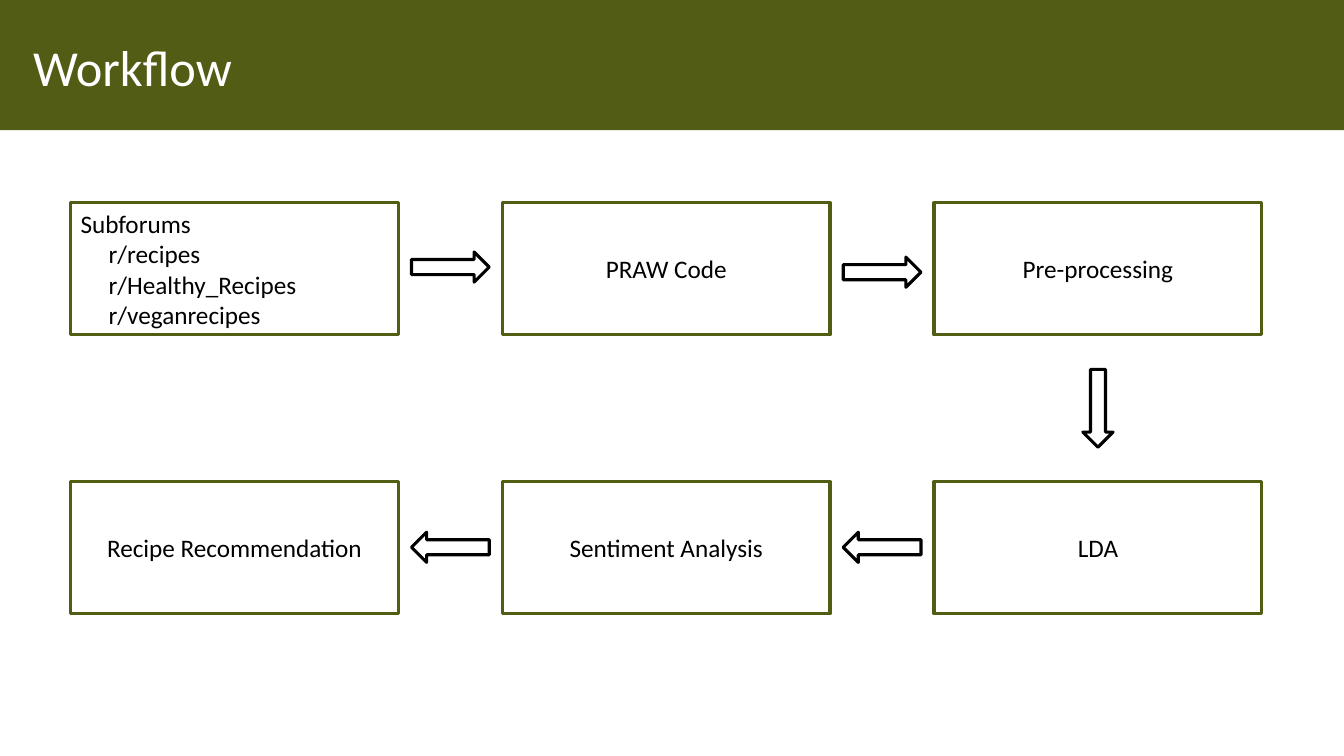
from dataclasses import dataclass

from pptx import Presentation
from pptx.dml.color import RGBColor
from pptx.enum.shapes import MSO_SHAPE
from pptx.enum.text import MSO_ANCHOR, PP_ALIGN
from pptx.util import Cm, Pt


@dataclass(frozen=True)
class Theme:
    font: str = "Calibri"
    band: RGBColor = RGBColor(0x53, 0x5C, 0x14)
    border: RGBColor = RGBColor(0x53, 0x5C, 0x13)
    ink: RGBColor = RGBColor(0, 0, 0)
    paper: RGBColor = RGBColor(0xFF, 0xFF, 0xFF)
    title_size: Pt = Pt(36)
    body_size: Pt = Pt(18)
    line_width: Pt = Pt(2.25)


theme = Theme()
TITLE_FONT = {"name": theme.font, "size": theme.title_size, "bold": False}
BODY_FONT = {"name": theme.font, "size": theme.body_size}


def write(frame, lines, font, colour, align, indent=0):
    """Fill a text frame, one paragraph a line; later lines are indented."""
    frame.word_wrap = True
    frame.vertical_anchor = MSO_ANCHOR.MIDDLE
    for index, line in enumerate(lines):
        para = frame.paragraphs[0] if index == 0 else frame.add_paragraph()
        para.alignment = align
        if index and indent:
            para._p.get_or_add_pPr().set("marL", str(indent))
        span = para.add_run()
        span.text = line
        for name, value in font.items():
            setattr(span.font, name, value)
        span.font.color.rgb = colour


def add_outline(kind, left, top, width, height, colour):
    """Add an unfilled shape with a coloured outline."""
    shape = page.shapes.add_shape(kind, left, top, width, height)
    shape.shadow.inherit = False
    shape.fill.background()
    shape.line.color.rgb = colour
    shape.line.width = theme.line_width
    return shape


# Deck and page
deck = Presentation()
deck.slide_width, deck.slide_height = Cm(33.87), Cm(19.05)
page = deck.slides.add_slide(deck.slide_layouts[5])

# Title on a full-width band
title = page.shapes.title
band = page.shapes.add_shape(MSO_SHAPE.RECTANGLE, 0, 0, deck.slide_width, Cm(3.28))
band.shadow.inherit = False
band.fill.solid()
band.fill.fore_color.rgb = theme.band
band.line.fill.background()
title.element.addprevious(band.element)

title_place = {"left": Cm(0.58), "top": Cm(0.89), "width": Cm(32.56), "height": Cm(1.75)}
for name, value in title_place.items():
    setattr(title, name, value)
write(title.text_frame, ["Workflow"], TITLE_FONT, theme.paper, PP_ALIGN.LEFT)
title.text_frame.paragraphs[0].line_spacing = 0.9

# Grid of steps: three columns, two rows
box_width, box_height = Cm(8.26), Cm(3.33)
first_left, column_step = Cm(1.78), Cm(10.88)
row_tops = [Cm(5.11), Cm(12.14)]
steps = [
    [["Subforums", "r/recipes", "r/Healthy_Recipes", "r/veganrecipes"],
     ["PRAW Code"], ["Pre-processing"]],
    [["Recipe Recommendation"], ["Sentiment Analysis"], ["LDA"]],
]
for top, row in zip(row_tops, steps):
    for column, lines in enumerate(row):
        box = add_outline(MSO_SHAPE.RECTANGLE, first_left + column * column_step, top,
                          box_width, box_height, theme.border)
        align = PP_ALIGN.LEFT if len(lines) > 1 else PP_ALIGN.CENTER
        write(box.text_frame, lines, BODY_FONT, theme.ink, align, Cm(0.71))

# Arrows, centred in the gaps: right along the top, down, then back left
arrow_width, arrow_height = Cm(1.96), Cm(0.76)
first_gap = first_left + (box_width + column_step) // 2
second_gap = first_gap + column_step
last_column = first_left + 2 * column_step + box_width // 2
arrows = [
    (first_gap, Cm(6.73), 0),
    (second_gap, Cm(6.86), 0),
    (last_column, Cm(10.29), 90),
    (second_gap, Cm(13.79), 180),
    (first_gap, Cm(13.79), 180),
]
for centre, middle, rotation in arrows:
    arrow = add_outline(MSO_SHAPE.RIGHT_ARROW, centre - arrow_width // 2,
                        middle - arrow_height // 2, arrow_width, arrow_height, theme.ink)
    arrow.rotation = rotation

deck.save("out.pptx")
